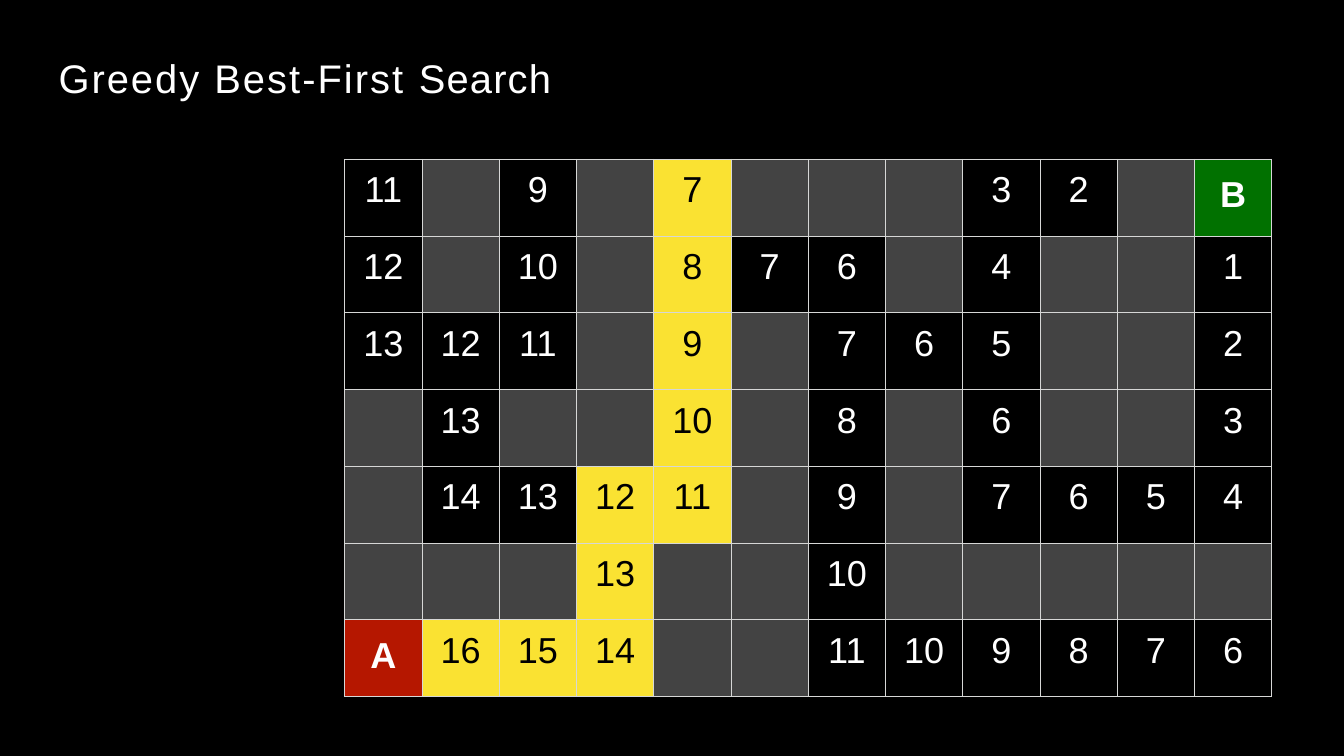
from dataclasses import dataclass

from pptx import Presentation
from pptx.dml.color import RGBColor
from pptx.enum.text import MSO_ANCHOR, PP_ALIGN
from pptx.oxml import parse_xml
from pptx.oxml.ns import nsdecls
from pptx.util import Cm, Pt


@dataclass(frozen=True)
class Theme:
    font: str = "Arial"
    title_size: float = 47
    cell_size: float = 42.5
    black: str = "000000"
    white: str = "FFFFFF"
    wall: str = "434343"
    explored: str = "FAE232"
    start: str = "B51700"
    goal: str = "017100"
    border: str = "D6D7D6"


THEME = Theme()
WALL = "#"
EXPLORED = "*"
ENDPOINTS = {"A": THEME.start, "B": THEME.goal}
MAZE = [
    "11 # 9 # *7 # # # 3 2 # B",
    "12 # 10 # *8 7 6 # 4 # # 1",
    "13 12 11 # *9 # 7 6 5 # # 2",
    "# 13 # # *10 # 8 # 6 # # 3",
    "# 14 13 *12 *11 # 9 # 7 6 5 4",
    "# # # *13 # # 10 # # # # #",
    "A *16 *15 *14 # # 11 10 9 8 7 6",
]
TITLE_SPANS = [("Greedy ", 230), ("Best-First ", 240), ("Search", 140)]


def style_span(span, size, color, bold=False):
    span.font.name = THEME.font
    span.font.size = Pt(size)
    span.font.bold = bold
    span.font.color.rgb = RGBColor.from_string(color)


def add_title(page):
    box = page.shapes.add_textbox(Cm(2.44), Cm(2.18), Cm(20.5), Cm(2.06))
    frame = box.text_frame
    frame.word_wrap = True
    frame.margin_left = frame.margin_right = frame.margin_bottom = 0
    frame.margin_top = Cm(0.06)
    para = frame.paragraphs[0]
    for text, spacing in TITLE_SPANS:
        span = para.add_run()
        span.text = text
        style_span(span, THEME.title_size, THEME.white)
        span._r.get_or_add_rPr().set("spc", str(spacing))


def add_borders(cell):
    properties = cell._tc.get_or_add_tcPr()
    for side in ("lnL", "lnR", "lnT", "lnB"):
        properties.append(parse_xml(
            f'<a:{side} {nsdecls("a")} w="{Pt(1)}"><a:solidFill>'
            f'<a:srgbClr val="{THEME.border}"/></a:solidFill></a:{side}>'
        ))


def cell_colors(mark):
    if mark == WALL:
        return THEME.wall, THEME.white
    if mark.startswith(EXPLORED):
        return THEME.explored, THEME.black
    return ENDPOINTS.get(mark, THEME.black), THEME.white


def fill_cell(cell, mark):
    fill, color = cell_colors(mark)
    endpoint = mark in ENDPOINTS
    add_borders(cell)
    cell.fill.solid()
    cell.fill.fore_color.rgb = RGBColor.from_string(fill)
    cell.margin_left = cell.margin_right = cell.margin_bottom = 0
    cell.margin_top = Cm(0.65 if endpoint else 0.46)
    cell.vertical_anchor = MSO_ANCHOR.TOP
    if mark == WALL:
        return
    para = cell.text_frame.paragraphs[0]
    para.text = mark.lstrip(EXPLORED)
    para.alignment = PP_ALIGN.CENTER
    style_span(para.runs[0], THEME.cell_size, color, endpoint)


def add_maze(page):
    rows = [line.split() for line in MAZE]
    width, height = Cm(3.21) * len(rows[0]), Cm(3.19) * len(rows)
    frame = page.shapes.add_table(
        len(rows), len(rows[0]), Cm(14.33), Cm(6.62), width, height
    )
    table = frame.table
    table.first_row = table.horz_banding = False
    for row, marks in enumerate(rows):
        for column, mark in enumerate(marks):
            fill_cell(table.cell(row, column), mark)


def main():
    deck = Presentation()
    deck.slide_width, deck.slide_height = Cm(55.85), Cm(31.42)
    page = deck.slides.add_slide(deck.slide_layouts[6])
    page.background.fill.solid()
    page.background.fill.fore_color.rgb = RGBColor.from_string(THEME.black)
    add_maze(page)
    add_title(page)
    deck.save("out.pptx")


if __name__ == "__main__":
    main()
